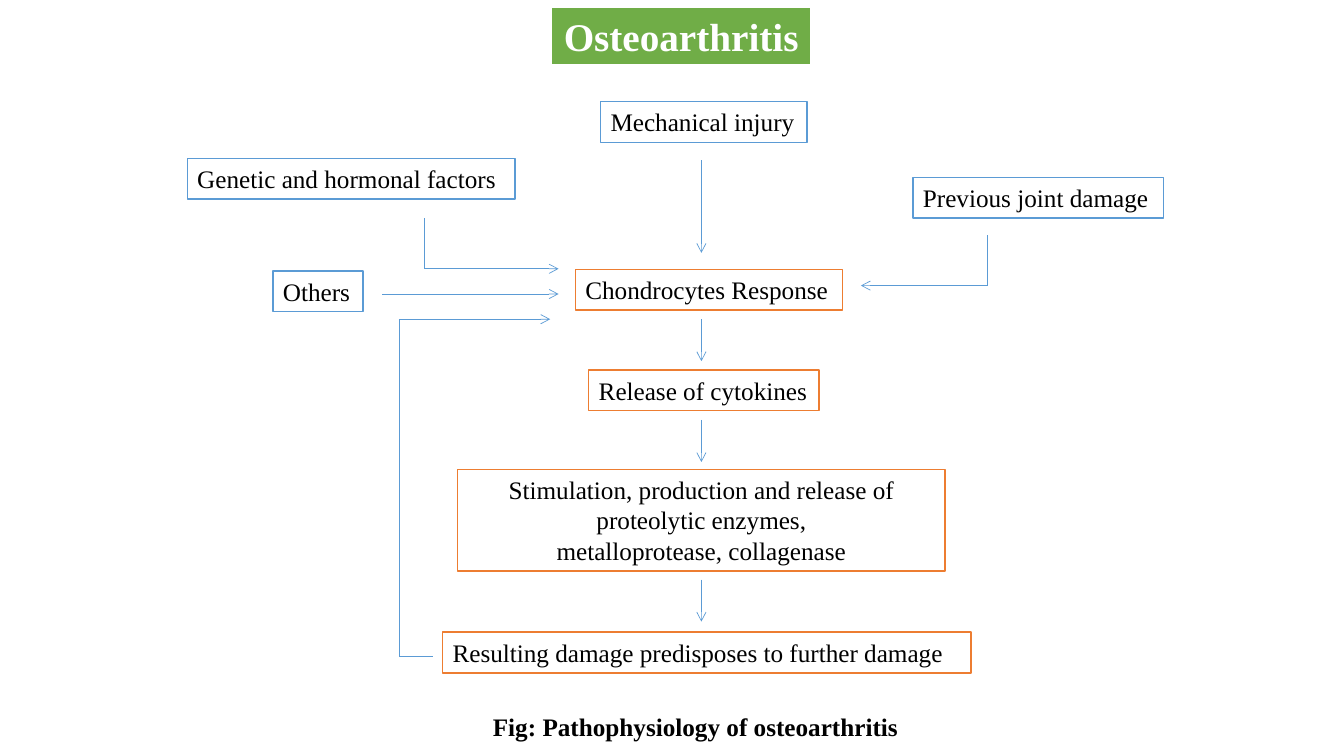
from dataclasses import dataclass
from itertools import pairwise

from lxml.etree import SubElement
from pptx import Presentation
from pptx.dml.color import RGBColor
from pptx.enum.shapes import MSO_CONNECTOR, MSO_SHAPE
from pptx.enum.text import MSO_ANCHOR, MSO_AUTO_SIZE, PP_ALIGN
from pptx.oxml.ns import qn
from pptx.util import Inches, Pt

WHITE = RGBColor(0xFF, 0xFF, 0xFF)
BLACK = RGBColor(0x00, 0x00, 0x00)
GREEN = RGBColor(0x70, 0xAD, 0x47)
BLUE = RGBColor(0x5B, 0x9B, 0xD5)
ORANGE = RGBColor(0xED, 0x7D, 0x31)

FONT = "Times New Roman"
CELL = Inches(1) / 12  # the slide is a grid of 160 columns by 90 rows
COLUMNS, ROWS = 160, 90
LINE_HEIGHT = 4.85


def cells(*counts):
    return [round(count * CELL) for count in counts]


@dataclass
class Area:
    """A region of the slide, with its top left corner in grid cells."""
    left: float
    top: float

    def at(self, column, row):
        return cells(self.left + column, self.top + row)


def write(frame, lines, size, color=BLACK, bold=False, align=PP_ALIGN.LEFT):
    frame.text = "\n".join(lines)
    for para in frame.paragraphs:
        para.alignment = align
        para.font.name = FONT
        para.font.size = Pt(size)
        para.font.bold = bold
        para.font.color.rgb = color


def draw_step(page, area, column, row, width, color, *lines):
    """Outlined box; several lines are centred and may wrap."""
    several = len(lines) > 1
    height = 12.1 if several else LINE_HEIGHT
    box = page.shapes.add_shape(
        MSO_SHAPE.RECTANGLE, *area.at(column, row), *cells(width, height))
    box.shadow.inherit = False
    box.fill.solid()
    box.fill.fore_color.rgb = WHITE
    box.line.color.rgb = color
    box.line.width = Pt(1)
    frame = box.text_frame
    frame.word_wrap = several
    frame.auto_size = MSO_AUTO_SIZE.SHAPE_TO_FIT_TEXT
    frame.vertical_anchor = MSO_ANCHOR.TOP
    write(frame, lines, 18, align=PP_ALIGN.CENTER if several else PP_ALIGN.LEFT)


def draw_route(page, area, *points):
    """Straight legs through the points, with an arrowhead on the last."""
    for start, end in pairwise(points):
        leg = page.shapes.add_connector(
            MSO_CONNECTOR.STRAIGHT, *area.at(*start), *area.at(*end))
        leg.line.color.rgb = BLUE
        leg.line.width = Pt(0.5)
        properties = leg._element.spPr
        SubElement(properties, qn("a:effectLst"))
        if end == points[-1]:
            SubElement(properties.find(qn("a:ln")), qn("a:tailEnd"), type="arrow")


def draw_title(page, area):
    title = page.shapes.title
    title.left, title.top = area.at(0, 0)
    title.width, title.height = cells(31, 6.85)
    title.fill.solid()
    title.fill.fore_color.rgb = GREEN
    title.line.color.rgb = WHITE
    title.line.width = Pt(1.5)
    frame = title.text_frame
    frame.auto_size = MSO_AUTO_SIZE.NONE
    frame.vertical_anchor = MSO_ANCHOR.MIDDLE
    write(frame, ["Osteoarthritis"], 28, WHITE, True, PP_ALIGN.CENTER)


def draw_causes(page, area):
    for column, row, width, label in (
        (49.5, 0.1, 24.6, "Mechanical injury"),
        (0.3, 6.85, 39, "Genetic and hormonal factors"),
        (86.7, 9.1, 29.8, "Previous joint damage"),
        (10.5, 20.25, 10.7, "Others"),
    ):
        draw_step(page, area, column, row, width, BLUE, label)
    draw_route(page, area, (61.5, 7.1), (61.5, 18.1))
    draw_route(page, area, (28.5, 14), (28.5, 20), (44.5, 20))
    draw_route(page, area, (23.5, 23), (44.5, 23))
    draw_route(page, area, (95.5, 16), (95.5, 22), (80.5, 22))


def draw_chain(page, area):
    """Steps from the response to further damage, and the loop back."""
    for column, row, width, *lines in (
        (21, 0.05, 31.8, "Chondrocytes Response"),
        (22.6, 12.05, 27.4, "Release of cytokines"),
        (7, 23.9, 58,
         "Stimulation, production and release of proteolytic enzymes,",
         "metalloprotease, collagenase"),
        (5.2, 43.25, 62.9, "Resulting damage predisposes to further damage"),
    ):
        draw_step(page, area, column, row, width, ORANGE, *lines)
    for row in (6, 18, 37):
        draw_route(page, area, (36, row), (36, row + 5))
    draw_route(page, area, (4, 46.1), (0, 46.1), (0, 6), (18, 6))


def draw_caption(page, area):
    caption = page.shapes.add_textbox(*area.at(0, 0), *cells(51.1, LINE_HEIGHT))
    caption.text_frame.word_wrap = False
    caption.text_frame.auto_size = MSO_AUTO_SIZE.SHAPE_TO_FIT_TEXT
    write(caption.text_frame, ["Fig: Pathophysiology of osteoarthritis"], 18, bold=True)


def main():
    deck = Presentation()
    deck.slide_width, deck.slide_height = cells(COLUMNS, ROWS)
    title_only = deck.slide_layouts[5]
    page = deck.slides.add_slide(title_only)
    draw_title(page, Area(65.6, 0.85))
    draw_causes(page, Area(22, 12))
    draw_chain(page, Area(47.5, 32))
    draw_caption(page, Area(57.5, 84.1))
    deck.save("out.pptx")


if __name__ == "__main__":
    main()
